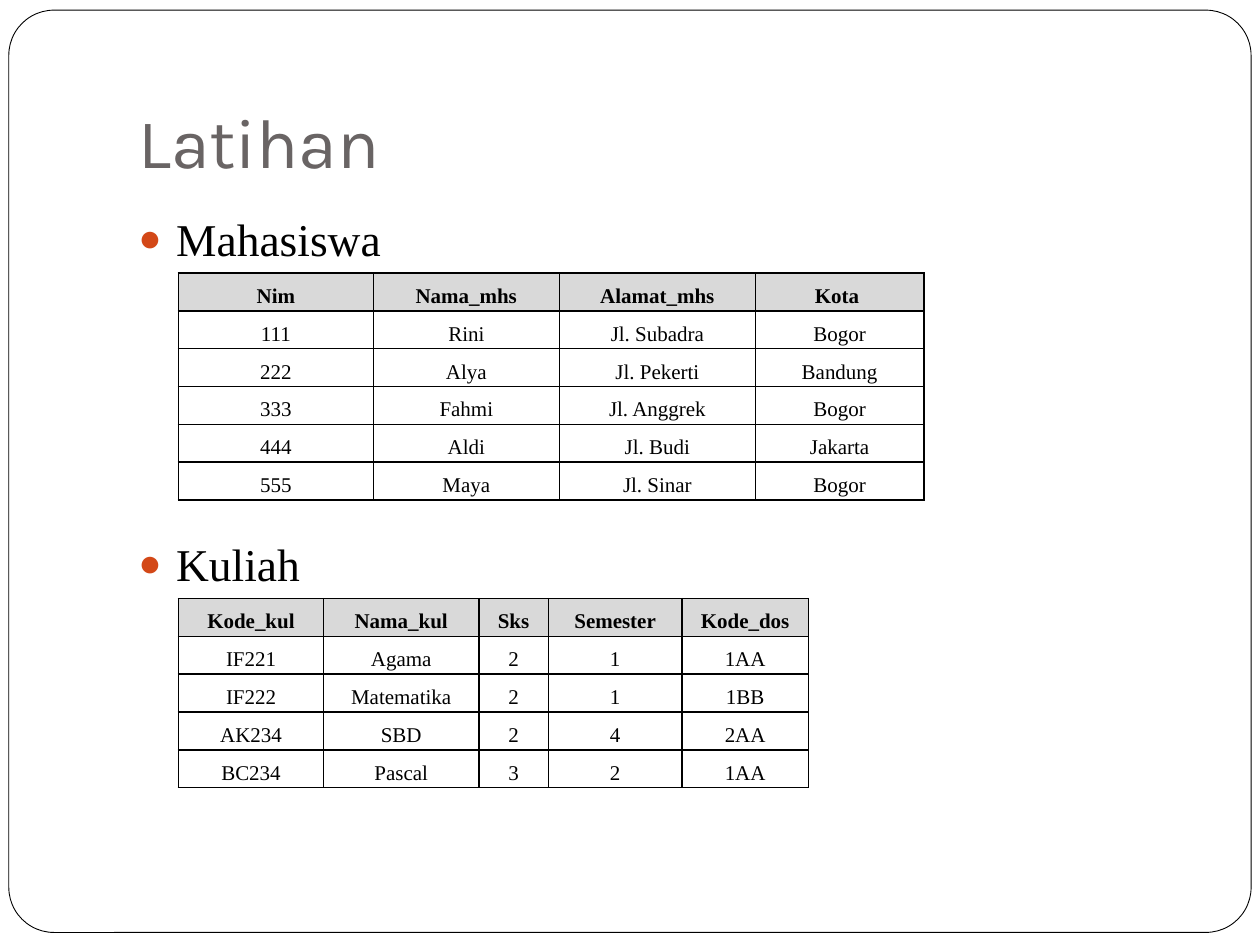
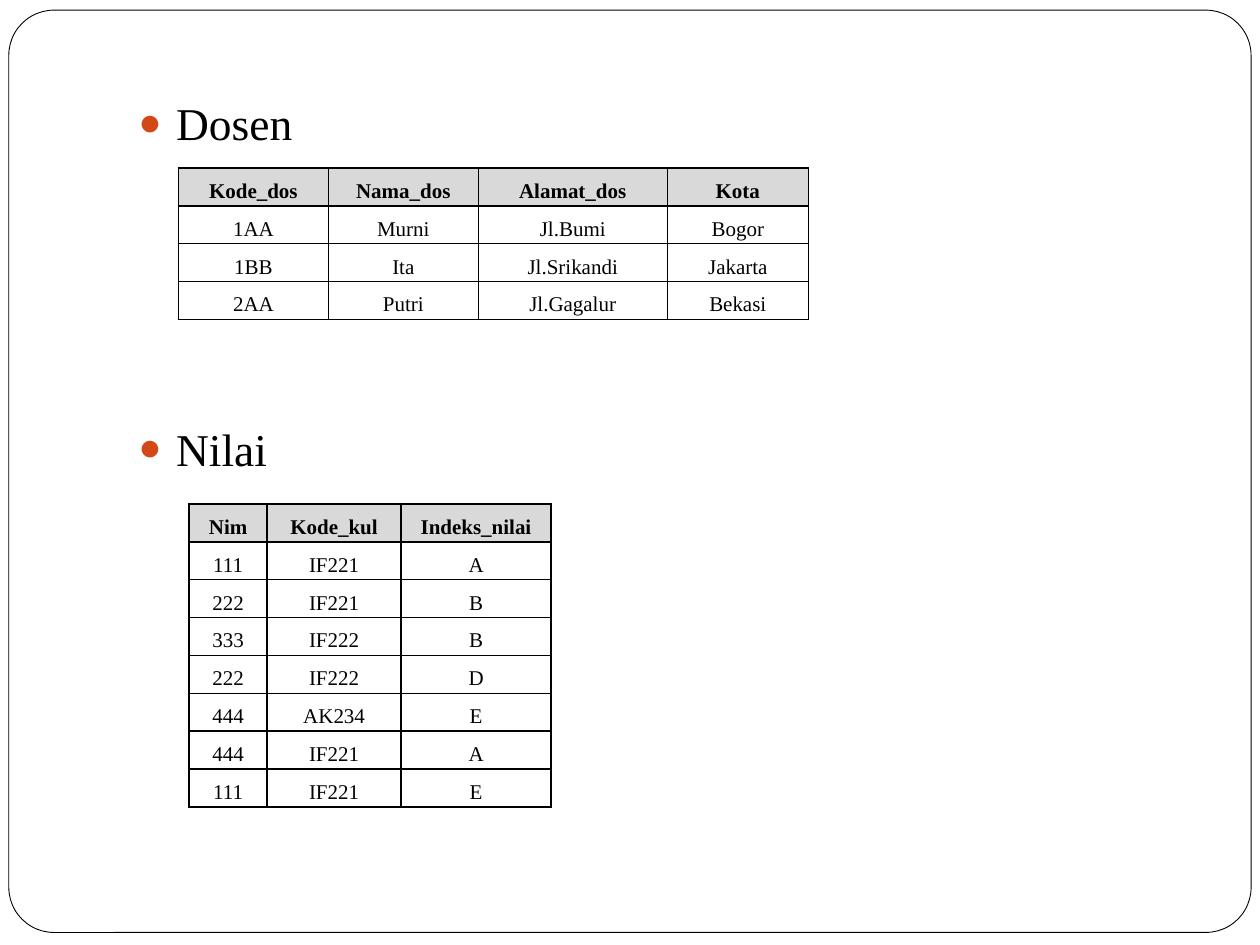
from lxml import etree
from pptx import Presentation
from pptx.dml.color import RGBColor
from pptx.enum.shapes import MSO_SHAPE
from pptx.enum.text import MSO_ANCHOR, PP_ALIGN
from pptx.oxml.ns import qn
from pptx.util import Inches, Pt

ROUNDED = MSO_SHAPE.ROUNDED_RECTANGLE
BOTTOM = MSO_ANCHOR.BOTTOM
CENTER = PP_ALIGN.CENTER

SLIDE_WIDTH, SLIDE_HEIGHT = Inches(10), Inches(7.5)
GRID_COLUMNS = 120
UNIT = SLIDE_WIDTH / GRID_COLUMNS
ROW_HEIGHT = Pt(20)

INK, PAPER, TITLE_GREY = "000000", "FFFFFF", "696464"
HEADER_GREY, BULLET_ORANGE = "D9D9D9", "D34817"
TITLE_FONT, BODY_FONT = "Karla", "Times New Roman"

MAHASISWA = [
    ("Nim", "Nama_mhs", "Alamat_mhs", "Kota "),
    ("111", "Rini", "Jl. Subadra", "Bogor"),
    ("222", "Alya", "Jl. Pekerti", "Bandung"),
    ("333", "Fahmi", "Jl. Anggrek", "Bogor"),
    ("444", "Aldi", "Jl. Budi", "Jakarta"),
    ("555", "Maya", "Jl. Sinar", "Bogor"),
]
KULIAH = [
    ("Kode_kul", "Nama_kul", "Sks", "Semester", "Kode_dos"),
    ("IF221", "Agama", "2", "1", "1AA"),
    ("IF222", "Matematika", "2", "1", "1BB"),
    ("AK234", "SBD", "2", "4", "2AA"),
    ("BC234", "Pascal", "3", "2", "1AA"),
]
DOSEN = [
    ("Kode_dos", "Nama_dos", "Alamat_dos", "Kota"),
    ("1AA", "Murni", "Jl.Bumi", "Bogor"),
    ("1BB", "Ita", "Jl.Srikandi", "Jakarta"),
    ("2AA", "Putri", "Jl.Gagalur", "Bekasi"),
]
NILAI = [
    ("Nim", "Kode_kul", "Indeks_nilai"),
    ("111", "IF221", "A"),
    ("222", "IF221", "B"),
    ("333", "IF222", "B"),
    ("222", "IF222", "D"),
    ("444", "AK234", "E"),
    ("444", "IF221", "A"),
    ("111", "IF221", "E"),
]


def color(hex_code):
    """Turn a hex string into a colour."""
    return RGBColor.from_string(hex_code)


def grid(*units):
    """Turn grid units into slide lengths."""
    return [round(unit * UNIT) for unit in units]


def set_font(paragraph, name, size, hex_code, bold=False):
    """Set the font of a whole paragraph."""
    font = paragraph.font
    font.name, font.size, font.bold = name, Pt(size), bold
    font.color.rgb = color(hex_code)


def add_xml(parent, tag, **attributes):
    """Append a DrawingML element and return it."""
    return etree.SubElement(parent, qn(tag), attributes)


def add_bullet(paragraph):
    """Give a paragraph a hanging orange bullet."""
    properties = paragraph._p.get_or_add_pPr()
    indent = Inches(0.3)
    properties.set("marL", str(indent))
    properties.set("indent", str(-indent))
    add_xml(add_xml(properties, "a:buClr"), "a:srgbClr", val=BULLET_ORANGE)
    add_xml(properties, "a:buSzPct", val="85000")
    add_xml(properties, "a:buFont", typeface=BODY_FONT)
    add_xml(properties, "a:buChar", char="●")


def add_borders(cell):
    """Draw a thin line on all sides of a cell."""
    properties = cell._tc.get_or_add_tcPr()
    for side in ("a:lnL", "a:lnR", "a:lnT", "a:lnB"):
        line = add_xml(properties, side, w=str(Pt(1)))
        add_xml(add_xml(line, "a:solidFill"), "a:srgbClr", val=INK)


def add_framed_slide(deck):
    """Add a blank slide with the rounded frame."""
    slide = deck.slides.add_slide(deck.slide_layouts[6])
    margin = round(0.007 * SLIDE_WIDTH)
    frame = slide.shapes.add_shape(
        ROUNDED, margin, round(0.0107 * SLIDE_HEIGHT),
        SLIDE_WIDTH - 2 * margin, round(0.976 * SLIDE_HEIGHT))
    frame.adjustments[0] = 0.049
    frame.shadow.inherit = False
    frame.fill.solid()
    frame.fill.fore_color.rgb = color(PAPER)
    frame.line.color.rgb = color(INK)
    frame.line.width = Pt(0.5)
    return slide


def add_title(slide, box, title):
    """Place the slide title at the bottom of its box."""
    frame = slide.shapes.add_textbox(*grid(*box)).text_frame
    frame.word_wrap = True
    frame.vertical_anchor = BOTTOM
    frame.margin_bottom = Inches(0.1)
    frame.text = title
    set_font(frame.paragraphs[0], TITLE_FONT, 40, TITLE_GREY)


def add_headings(slide, box, headings):
    """List the table headings, spaced to leave room for the tables."""
    frame = slide.shapes.add_textbox(*grid(*box)).text_frame
    frame.word_wrap = True
    frame.margin_top = Inches(0.09)
    frame.text = "\n".join(headings)
    for position, paragraph in enumerate(frame.paragraphs):
        if position:
            paragraph.space_before = Pt(154.7)
        add_bullet(paragraph)
        set_font(paragraph, BODY_FONT, 26, INK)


def fill_cell(cell, value, is_header):
    """Write and style one table cell."""
    cell.text = value
    cell.margin_left = cell.margin_right = Inches(0.07)
    cell.margin_top = cell.margin_bottom = 0
    paragraph = cell.text_frame.paragraphs[0]
    paragraph.alignment = CENTER
    paragraph.line_spacing = 1.5
    paragraph.space_after = Pt(10)
    set_font(paragraph, BODY_FONT, 12, INK, is_header)
    add_borders(cell)
    if is_header:
        cell.fill.solid()
        cell.fill.fore_color.rgb = color(HEADER_GREY)
    else:
        cell.fill.background()


def add_records(slide, box, column_shares, records):
    """Place a table of records in a box of left, top and width."""
    left, top, width = grid(*box)
    table = slide.shapes.add_table(
        len(records), len(records[0]), left, top, width,
        ROW_HEIGHT * len(records)).table
    table.horz_banding = False
    for column, share in zip(table.columns, column_shares):
        column.width = round(width * share / sum(column_shares))
    for row_index, record in enumerate(records):
        table.rows[row_index].height = ROW_HEIGHT
        for column_index, value in enumerate(record):
            fill_cell(table.cell(row_index, column_index), value, row_index == 0)


def main():
    """Build both exercise slides."""
    deck = Presentation()
    deck.slide_width, deck.slide_height = SLIDE_WIDTH, SLIDE_HEIGHT

    exercise = add_framed_slide(deck)
    add_title(exercise, (12, 3.6, 102, 15), "Latihan")
    add_headings(exercise, (12, 19, 102, 60), ("Mahasiswa", "Kuliah"))
    add_records(exercise, (17, 26, 71), (1.55, 1.48, 1.56, 1.34), MAHASISWA)
    add_records(exercise, (17, 57, 60), (1.15, 1.23, 0.55, 1.06, 1), KULIAH)

    continuation = add_framed_slide(deck)
    add_headings(continuation, (12, 8, 102, 71), ("Dosen", "Nilai"))
    add_records(continuation, (17, 16, 60), (1.19, 1.19, 1.5, 1.12), DOSEN)
    add_records(continuation, (18, 48, 34.5), (0.62, 1.06, 1.19), NILAI)

    deck.save("out.pptx")


if __name__ == "__main__":
    main()
